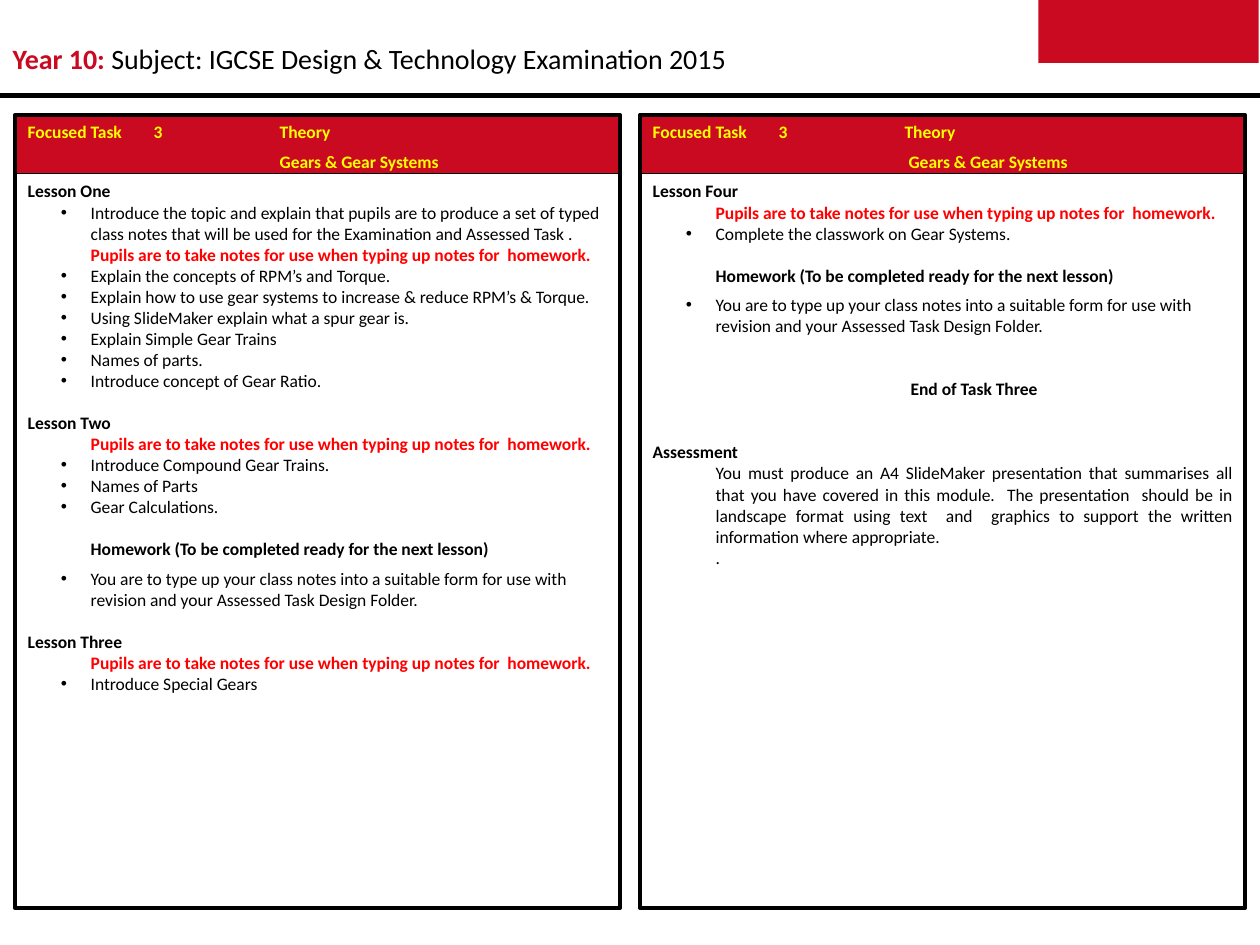
import pptx
import pptx.util
import pptx.dml.color
import pptx.enum.shapes
import pptx.enum.text
import pptx.oxml
import pptx.oxml.ns
from lxml import etree

Pt = pptx.util.Pt
ALIGN = pptx.enum.text.PP_ALIGN
RED, BLACK, YELLOW, ALERT = "CA0A20", "000000", "FFFF00", "FF0000"

# Content: (style, text) or (style, text, space before in points)
TITLE = [("Year 10:", RED, True),
         (" Subject: IGCSE Design & Technology Examination 2015", BLACK, False)]
NOTES = ("notes", "Pupils are to take notes for use when typing up notes for  homework.")
HOMEWORK = [
    ("subhead", "Homework (To be completed ready for the next lesson)", 12),
    ("bullet", "You are to type up your class notes into a suitable form for use with "
               "revision and your Assessed Task Design Folder.", 5),
]
LEFT = [
    ("banner", "Focused Task\t3\tTheory"),
    ("banner", "\t\tGears & Gear Systems", 5),
    ("heading", "Lesson One", 5),
    ("bullet", "Introduce the topic and explain that pupils are to produce a set of typed "
               "class notes that will be used for the Examination and Assessed Task ."),
    NOTES,
    ("bullet", "Explain the concepts of RPM’s and Torque."),
    ("bullet", "Explain how to use gear systems to increase & reduce RPM’s & Torque."),
    ("bullet", "Using SlideMaker explain what a spur gear is."),
    ("bullet", "Explain Simple Gear Trains"),
    ("bullet", "Names of parts."),
    ("bullet", "Introduce concept of Gear Ratio."),
    ("heading", "Lesson Two", 12),
    NOTES,
    ("bullet", "Introduce Compound Gear Trains."),
    ("bullet", "Names of Parts"),
    ("bullet", "Gear Calculations."),
    *HOMEWORK,
    ("heading", "Lesson Three", 12),
    NOTES,
    ("bullet", "Introduce Special Gears"),
]
RIGHT = [
    ("banner", "Focused Task\t3\tTheory"),
    ("banner", "\t\t Gears & Gear Systems", 5),
    ("heading", "Lesson Four", 5),
    NOTES,
    ("bullet", "Complete the classwork on Gear Systems."),
    *HOMEWORK,
    ("closing", "End of Task Three", 24),
    ("heading", "Assessment", 24),
    ("body", "You must produce an A4 SlideMaker presentation that summarises all that you "
             "have covered in this module.  The presentation  should be in landscape format "
             "using text  and  graphics to support the written information where appropriate."),
    ("body", "."),
]
# Style: colour, bold, left margin, alignment
STYLES = {
    "banner": (YELLOW, True, 0, ALIGN.LEFT),
    "heading": (BLACK, True, 0, ALIGN.LEFT),
    "subhead": (BLACK, True, 36, ALIGN.LEFT),
    "notes": (ALERT, True, 36, ALIGN.LEFT),
    "bullet": (BLACK, False, 36, ALIGN.LEFT),
    "closing": (BLACK, True, 36, ALIGN.CENTER),
    "body": (BLACK, False, 36, ALIGN.JUSTIFY),
}
HANG, TAB = 17, 72
PANEL_TOP, PANEL_W, PANEL_H, BANNER_H = 65.5, 345.6, 453.6, 33.8
PANEL_LEFTS = (8.64, 365.76)


def rgb(value):
    return pptx.dml.color.RGBColor.from_string(value)


def place(shape, left, top, width, height):
    shape.left, shape.top, shape.width, shape.height = map(Pt, (left, top, width, height))


def format_run(r, size, color, bold):
    r.font.name, r.font.size, r.font.bold = "Calibri", Pt(size), bold
    r.font.color.rgb = rgb(color)


def add_bar(left, top, width, height, line=None):
    sp = s.shapes.add_shape(pptx.enum.shapes.MSO_SHAPE.RECTANGLE,
                            *map(Pt, (left, top, width, height)))
    sp.shadow.inherit = False
    sp.fill.solid()
    sp.fill.fore_color.rgb = rgb(RED)
    if line:
        sp.line.color.rgb = rgb(line)
        sp.line.width = Pt(0.75)
    else:
        sp.line.fill.background()
    return sp


def set_bullet(p, margin, bulleted):
    pPr = p._p.get_or_add_pPr()
    pPr.set("marL", str(Pt(margin)))
    pPr.set("indent", str(Pt(-HANG if bulleted else 0)))
    pPr.set("defTabSz", str(Pt(TAB)))
    qn = pptx.oxml.ns.qn
    if bulleted:
        etree.SubElement(pPr, qn("a:buFont")).set("typeface", "Arial")
        etree.SubElement(pPr, qn("a:buChar")).set("char", "•")
    else:
        etree.SubElement(pPr, qn("a:buNone"))


def fill_panel(sp, left, items):
    place(sp, left, PANEL_TOP, PANEL_W, PANEL_H)
    sp.line.color.rgb = rgb(BLACK)
    sp.line.width = Pt(2.25)
    tf = sp.text_frame
    tf.auto_size = pptx.enum.text.MSO_AUTO_SIZE.NONE
    tf.vertical_anchor = pptx.enum.text.MSO_ANCHOR.TOP
    for i, (style, text, *space) in enumerate(items):
        color, bold, margin, align = STYLES[style]
        p = tf.add_paragraph() if i else tf.paragraphs[0]
        p.text = text
        p.alignment = align
        p.space_before = Pt(space[0] if space else 0)
        set_bullet(p, margin, style == "bullet")
        format_run(p.runs[0], 10, color, bold)


prs = pptx.Presentation()
prs.slide_width, prs.slide_height = Pt(720), Pt(540)
s = prs.slides.add_slide(prs.slide_layouts[3])

# Title
title = s.shapes.title
place(title, 0, 20.2, 586.8, 26.6)
tf = title.text_frame
tf.auto_size = pptx.enum.text.MSO_AUTO_SIZE.NONE
tf.vertical_anchor = pptx.enum.text.MSO_ANCHOR.MIDDLE
p = tf.paragraphs[0]
p.alignment = ALIGN.LEFT
for text, color, bold in TITLE:
    r = p.add_run()
    r.text = text
    format_run(r, 16, color, bold)

# Plain corner block
add_bar(593.3, 0, 126, 36)

# Rule under the header
rule = s.shapes.add_connector(pptx.enum.shapes.MSO_CONNECTOR.STRAIGHT,
                              Pt(0), Pt(54.7), Pt(720), Pt(54.7))
rule.line.color.rgb = rgb(BLACK)
rule.line.width = Pt(3)
etree.SubElement(rule._element.spPr, pptx.oxml.ns.qn("a:effectLst"))

# Lesson panels, each with a red banner behind its first two lines
for sp, left, items in zip(list(s.placeholders)[1:], PANEL_LEFTS, (LEFT, RIGHT)):
    fill_panel(sp, left, items)
    banner = add_bar(left, PANEL_TOP, PANEL_W, BANNER_H, BLACK)
    s.shapes._spTree.insert(2, banner._element)

prs.save("out.pptx")
